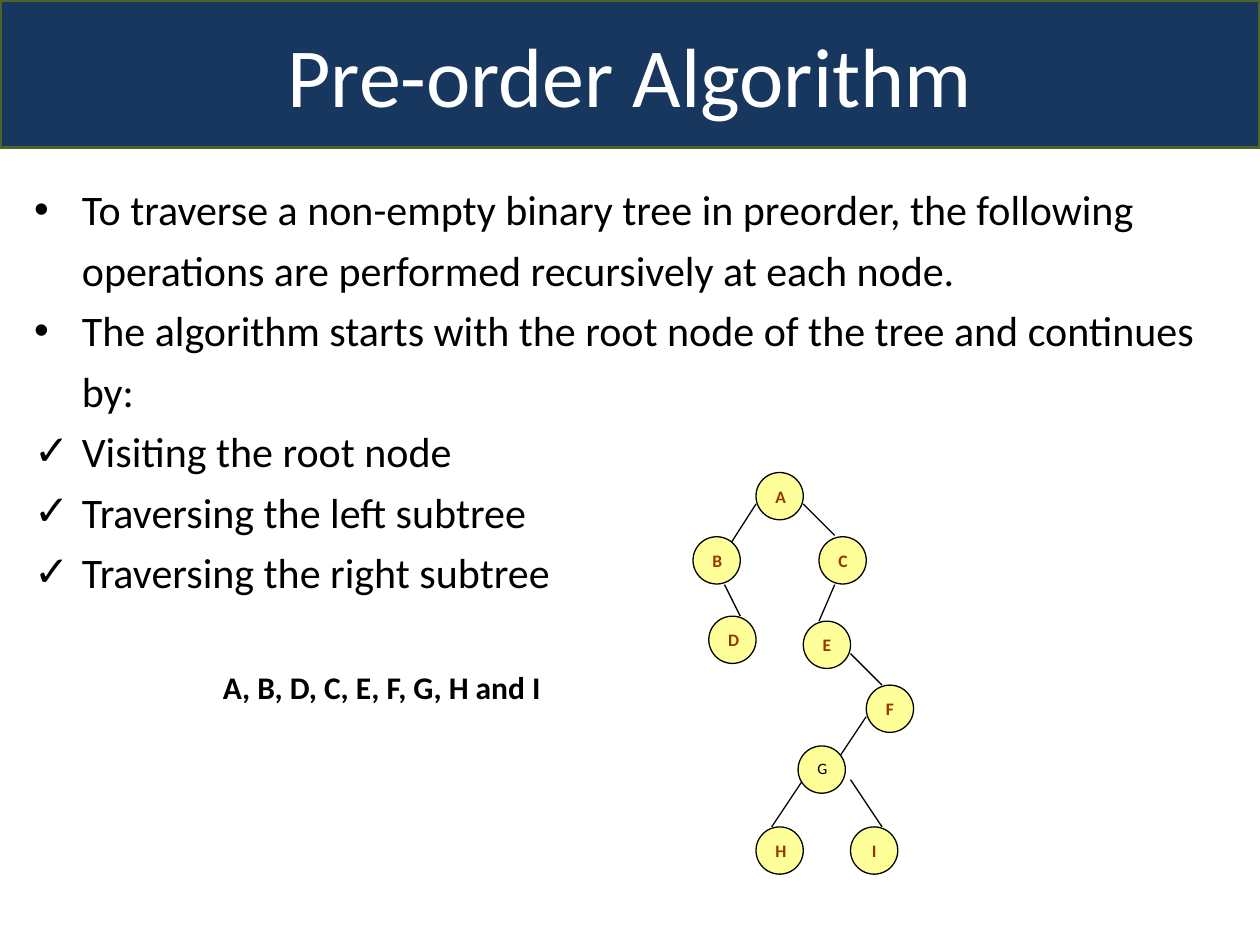
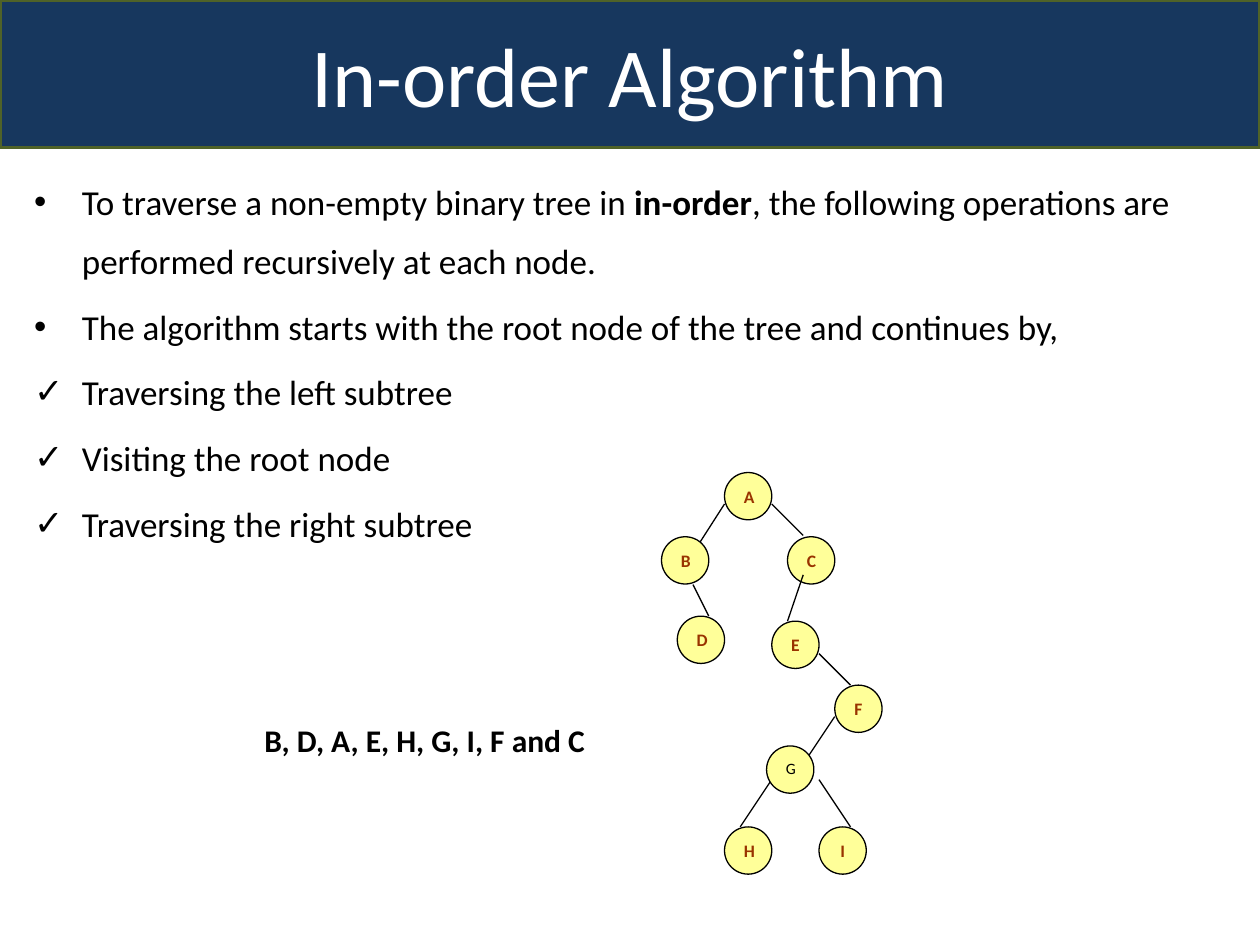
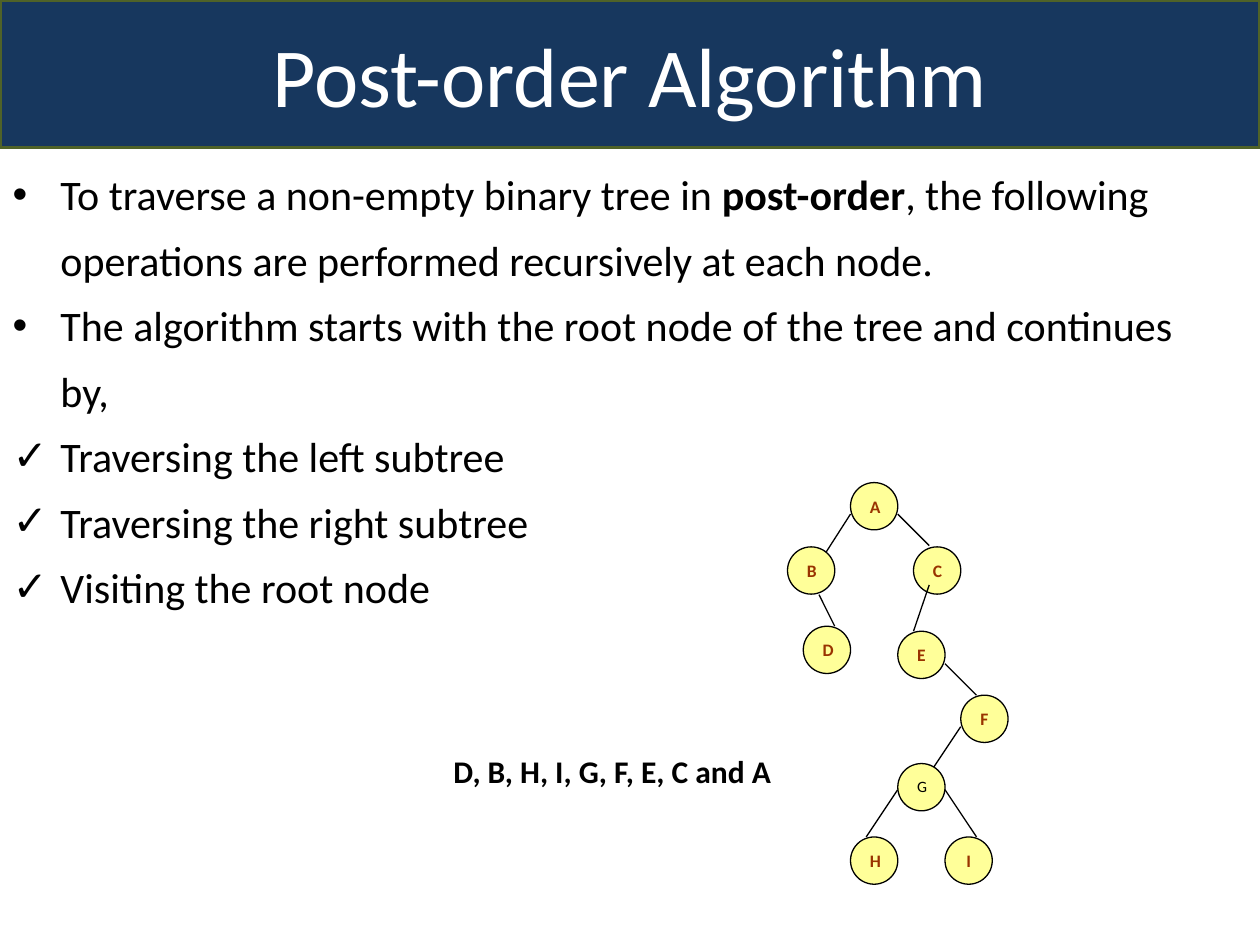
from dataclasses import dataclass

from lxml import etree
from pptx import Presentation
from pptx.dml.color import RGBColor
from pptx.enum.shapes import MSO_CONNECTOR, MSO_SHAPE
from pptx.enum.text import MSO_ANCHOR, MSO_AUTO_SIZE, PP_ALIGN
from pptx.oxml.ns import qn
from pptx.util import Inches, Pt

LINE, OVAL = MSO_CONNECTOR.STRAIGHT, MSO_SHAPE.OVAL
TOP, MID = MSO_ANCHOR.TOP, MSO_ANCHOR.MIDDLE
LEFT, MIDDLE, FULL = PP_ALIGN.LEFT, PP_ALIGN.CENTER, PP_ALIGN.JUSTIFY
FIXED, GROW = MSO_AUTO_SIZE.NONE, MSO_AUTO_SIZE.SHAPE_TO_FIT_TEXT

# Shared look
FONT = "Calibri"
NAVY, OLIVE, WHITE = "17375E", "4F6228", "FFFFFF"
BLACK, YELLOW, RUST = "000000", "FFFF99", "993300"
WIDE, HIGH = 10, 7.5
BAND = 1.17
CELL = 0.125  # tree grid step
SIZE = 3  # node width in cells
DOT, TICK = "•", "✓"

Point = tuple[float, float]


@dataclass
class Box:
    left: float
    top: float
    width: float
    height: float

    def place(self, shape) -> None:
        shape.left, shape.top = Inches(self.left), Inches(self.top)
        shape.width, shape.height = Inches(self.width), Inches(self.height)


@dataclass
class Tree:
    left: float
    top: float
    hub: Point = (2.67, 17.36)  # cell of node G
    limb: Point = (5, 6.5)  # start of the line from C to E

    def spot(self, cell: Point) -> Point:
        return Inches(self.left + cell[0] * CELL), Inches(self.top + cell[1] * CELL)


@dataclass
class Page:
    name: str
    intro: list[str]  # every second part is bold
    lead: str
    steps: list[str]
    body: Box
    size: float
    line: float
    gap: float
    order: str
    answer: Box
    align: PP_ALIGN
    tree: Tree


# Cells are columns and rows counted from the corner of node A
NODES: dict[str, Point] = {
    "A": (0, 0), "B": (-4, 4.08), "C": (4, 4.08), "D": (-3, 9.12),
    "E": (3, 9.44), "F": (7, 13.5), "H": (0, 22.5), "I": (6, 22.5),
}
EDGES: list[tuple[Point, Point]] = [
    ((0, 2), (-2, 5.12)), ((3, 2), (5, 4)), ((-2, 7.12), (-1, 9.12)),
    ((6, 11.5), (8, 13.5)), ((7, 15.5), (5, 18.5)),
    ((3, 19.5), (1, 22.5)), ((6, 19.5), (8, 22.5)),
]
ELBOW: Point = (4, 9.44)

ASK = "To traverse a non-empty binary tree in "
REST = ", the following operations are performed recursively at each node."
START = "The algorithm starts with the root node of the tree and continues by"
ROOT = "Visiting the root node"
LESS, MORE = "Traversing the left subtree", "Traversing the right subtree"

PAGES = [
    Page("Pre-order Algorithm", [ASK + "preorder" + REST], START + ":",
         [ROOT, LESS, MORE], Box(0.17, 1.33, 9.58, 3.45), 24, 1.2, 0,
         "A, B, D, C, E, F, G, H and I", Box(1.67, 5.25, 2.76, 0.4), LEFT,
         Tree(6, 3.75, limb=(5, 7.12))),
    Page("In-order Algorithm", [ASK, "in-order", REST], START + ",",
         [LESS, ROOT, MORE], Box(0.17, 1.25, 9.48, 6), 20, 1.4, 4,
         "B, D, A, E, H, G, I, F and C", Box(2, 5.67, 3.15, 0.4), FULL,
         Tree(5.75, 3.75)),
    Page("Post-order Algorithm", [ASK, "post-order", REST], START + ",",
         [LESS, MORE, ROOT], Box(0, 1.17, 9.58, 3.73), 24, 1.3, 0,
         "D, B, H, I, G, F, E, C and A", Box(3.5, 5.92, 3.15, 0.4), FULL,
         Tree(6.75, 3.83, hub=(3, 17.84))),
]


def paint(part, color: str) -> None:
    """Give a fill, line or font a plain colour."""
    if hasattr(part, "solid"):
        part.solid()
        part.fore_color.rgb = RGBColor.from_string(color)
    else:
        part.color.rgb = RGBColor.from_string(color)


def edge(shape, color: str, width: float) -> None:
    paint(shape.line.fill, color)
    shape.line.width = Pt(width)


def write(para, text: str, size: float, color: str, bold: bool = False) -> None:
    run = para.add_run()
    run.text = text
    run.font.name, run.font.size, run.font.bold = FONT, Pt(size), bold
    paint(run.font, color)


def bullet(para, mark: str) -> None:
    props = para._p.get_or_add_pPr()
    props.set("marL", str(Inches(0.38)))
    props.set("indent", str(-Inches(0.38)))
    etree.SubElement(props, qn("a:buFont")).set("typeface", "Arial")
    etree.SubElement(props, qn("a:buChar")).set("char", mark)


def title(slide, name: str) -> None:
    shape = slide.shapes.title
    Box(0, 0, WIDE, BAND).place(shape)
    paint(shape.fill, NAVY)
    edge(shape, OLIVE, 2)
    frame = shape.text_frame
    frame.auto_size, frame.vertical_anchor = FIXED, MID
    para = frame.paragraphs[0]
    para.alignment = MIDDLE
    write(para, name, 48, WHITE)


def body(slide, page: Page) -> None:
    shape = slide.placeholders[1]
    page.body.place(shape)
    frame = shape.text_frame
    frame.auto_size, frame.vertical_anchor = FIXED, TOP
    rows = [(DOT, page.intro), (DOT, [page.lead])]
    rows += [(TICK, [step]) for step in page.steps]
    for i, (mark, parts) in enumerate(rows):
        para = frame.add_paragraph() if i else frame.paragraphs[0]
        para.line_spacing, para.space_before = page.line, Pt(page.gap)
        bullet(para, mark)
        for j, part in enumerate(parts):
            write(para, part, page.size, BLACK, j % 2 == 1)


def answer(slide, page: Page) -> None:
    shape = slide.shapes.add_textbox(0, 0, 0, 0)
    page.answer.place(shape)
    frame = shape.text_frame
    frame.word_wrap, frame.auto_size = False, GROW
    frame.vertical_anchor = MID
    para = frame.paragraphs[0]
    para.alignment = page.align
    write(para, page.order, 18, BLACK, True)


def link(group, tree: Tree, start: Point, end: Point) -> None:
    line = group.shapes.add_connector(LINE, *tree.spot(start), *tree.spot(end))
    edge(line, BLACK, 0.75)
    etree.SubElement(line._element.spPr, qn("a:effectLst"))


def node(group, tree: Tree, name: str, cell: Point) -> None:
    side = Inches(SIZE * CELL)
    shape = group.shapes.add_shape(OVAL, *tree.spot(cell), side, side)
    shape.shadow.inherit = False
    paint(shape.fill, YELLOW)
    edge(shape, BLACK, 0.75)
    frame = shape.text_frame
    frame.vertical_anchor = TOP
    para = frame.paragraphs[0]
    para.alignment = MIDDLE
    if name == "G":
        write(para, name, 9, BLACK)
    else:
        write(para, name, 10, RUST, True)


def draw(slide, tree: Tree) -> None:
    group = slide.shapes.add_group_shape()
    for start, end in EDGES:
        link(group, tree, start, end)
    for name, cell in (NODES | {"G": tree.hub}).items():
        node(group, tree, name, cell)
    link(group, tree, tree.limb, ELBOW)  # lies over node C


def main() -> None:
    deck = Presentation()
    deck.slide_width, deck.slide_height = Inches(WIDE), Inches(HIGH)
    for page in PAGES:
        slide = deck.slides.add_slide(deck.slide_layouts[1])
        title(slide, page.name)
        body(slide, page)
        answer(slide, page)
        draw(slide, page.tree)
    deck.save("out.pptx")


if __name__ == "__main__":
    main()
